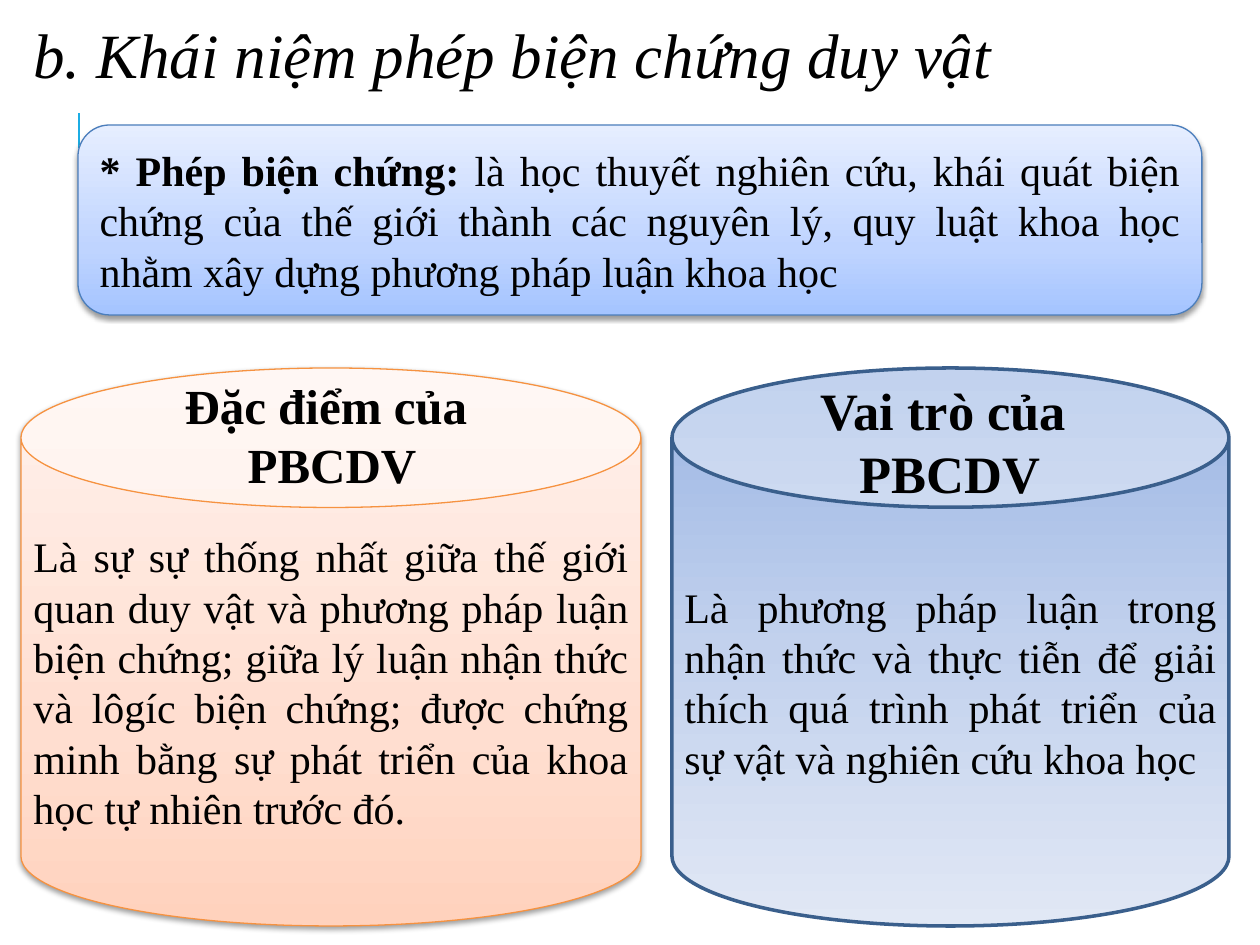
from copy import deepcopy

from lxml.etree import SubElement
from pptx import Presentation
from pptx.dml.color import RGBColor
from pptx.enum.shapes import MSO_CONNECTOR, MSO_SHAPE
from pptx.enum.text import MSO_ANCHOR, PP_ALIGN
from pptx.oxml.ns import qn
from pptx.util import Pt

PX = 914400 / 126
BLACK = RGBColor(0x00, 0x00, 0x00)
CYAN = RGBColor(0x1C, 0xAD, 0xE4)
BLUE_LINE = RGBColor(0x4B, 0x7E, 0xBC)
ORANGE_LINE = RGBColor(0xF6, 0x92, 0x40)
NAVY_LINE = RGBColor(0x3A, 0x5F, 0x8C)
BLUES = [RGBColor(0xA4, 0xC4, 0xFF), RGBColor(0xBF, 0xD4, 0xFF), RGBColor(0xE6, 0xEE, 0xFF)]
ORANGES = [RGBColor(0xFF, 0xD2, 0xBD), RGBColor(0xFF, 0xDE, 0xD0), RGBColor(0xFF, 0xF2, 0xED)]
NAVIES = [RGBColor(0x9A, 0xB5, 0xE4), RGBColor(0xC2, 0xD1, 0xED), RGBColor(0xE1, 0xE8, 0xF5)]


def emu(*lengths):
    return [round(n * PX) for n in lengths]


def write(p, text, size=24, bold=False, italic=False, align=PP_ALIGN.JUSTIFY):
    p.alignment = align
    r = p.add_run()
    r.text = text
    r.font.name = "Times New Roman"
    r.font.size = Pt(size)
    r.font.bold = bold
    r.font.italic = italic
    r.font.color.rgb = BLACK


prs = Presentation()
prs.slide_width, prs.slide_height = emu(1260, 945)
slide = prs.slides.add_slide(prs.slide_layouts[6])

line = slide.shapes.add_connector(MSO_CONNECTOR.STRAIGHT, *emu(79, 239, 79, 113))
line.line.color.rgb = CYAN
line.line.width = Pt(1.5)
SubElement(line._element.spPr, qn("a:effectLst"))

panels = [
    (MSO_SHAPE.ROUNDED_RECTANGLE, (78, 125, 1124, 190), BLUES, 0.35, 90, BLUE_LINE, 0.75, True,
     [("* Phép biện chứng: ", True),
      ("là học thuyết nghiên cứu, khái quát biện chứng của thế giới thành các nguyên lý, "
       "quy luật khoa học nhằm xây dựng phương pháp luận khoa học", False)]),
    (MSO_SHAPE.CAN, (21, 368, 620, 558), ORANGES, 0.35, 90, ORANGE_LINE, 0.75, True,
     [("Là sự sự thống nhất giữa thế giới quan duy vật và phương pháp luận biện chứng; "
       "giữa lý luận nhận thức và lôgíc biện chứng; được chứng minh bằng sự phát triển "
       "của khoa học tự nhiên trước đó. ", False)]),
    (MSO_SHAPE.CAN, (672, 368, 557, 558), NAVIES, 0.5, 270, NAVY_LINE, 2, False,
     [("Là phương pháp luận trong nhận thức và thực tiễn để giải thích quá trình phát triển "
       "của sự vật và nghiên cứu khoa học ", False)]),
]
for kind, box, colors, middle, angle, outline, width, shadow, runs in panels:
    s = slide.shapes.add_shape(kind, *emu(*box))
    s.shadow.inherit = False
    s.line.color.rgb = outline
    s.line.width = Pt(width)
    s.fill.gradient()
    s.fill.gradient_angle = angle
    stops = s._element.spPr.find(".//" + qn("a:gsLst"))
    stops.insert(1, deepcopy(stops[0]))
    for stop, color, position in zip(s.fill.gradient_stops, colors, (0, middle, 1)):
        stop.color.rgb = color
        stop.position = position
    if shadow:
        effects = s._element.spPr.find(qn("a:effectLst"))
        outer = SubElement(effects, qn("a:outerShdw"), blurRad=str(Pt(3.1)), dist=str(Pt(1.6)),
                           dir="5400000", rotWithShape="0")
        black = SubElement(outer, qn("a:srgbClr"), val=str(BLACK))
        SubElement(black, qn("a:alpha"), val="38000")
    tf = s.text_frame
    tf.word_wrap = True
    tf.vertical_anchor = MSO_ANCHOR.MIDDLE
    for text, bold in runs:
        write(tf.paragraphs[0], text, bold=bold)

title = slide.shapes.add_textbox(*emu(21, -5, 1229, 126))
tf = title.text_frame
tf.word_wrap = True
tf.vertical_anchor = MSO_ANCHOR.MIDDLE
tf.paragraphs[0].line_spacing = 0.9
write(tf.paragraphs[0], "b. Khái niệm phép biện chứng duy vật", size=36, italic=True, align=PP_ALIGN.LEFT)

labels = [
    ((170, 369, 324, 131), 28, "Đặc điểm của "),
    ((804, 372, 292, 140), 30, "Vai trò của "),
]
for box, size, heading in labels:
    tf = slide.shapes.add_textbox(*emu(*box)).text_frame
    tf.word_wrap = False
    write(tf.paragraphs[0], heading, size=size, bold=True, align=PP_ALIGN.CENTER)
    write(tf.add_paragraph(), "PBCDV", size=size, bold=True, align=PP_ALIGN.CENTER)

prs.save("out.pptx")
